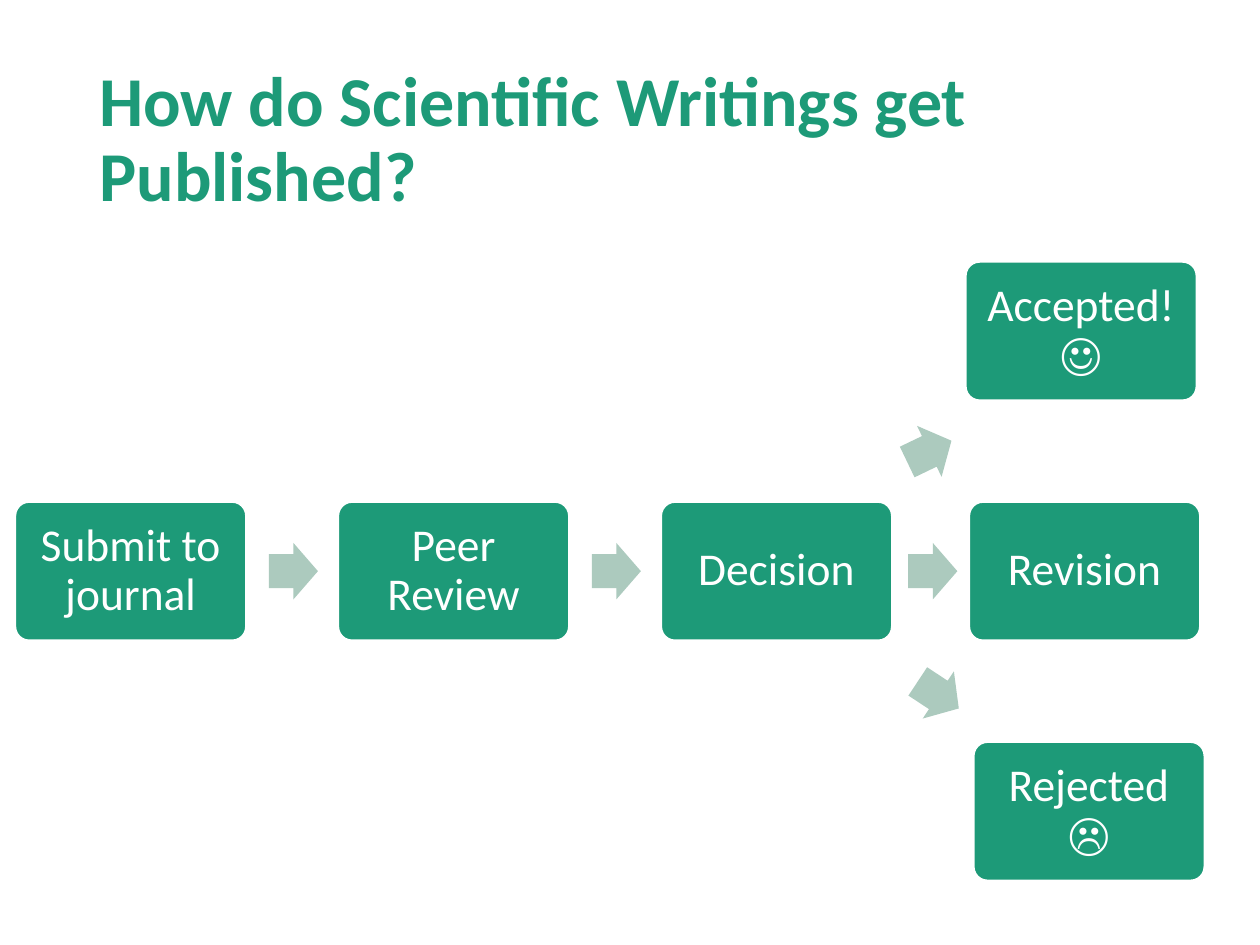
from pptx import Presentation
from pptx.dml.color import RGBColor
from pptx.enum.shapes import MSO_SHAPE as Shape
from pptx.enum.text import MSO_ANCHOR as Anchor, PP_ALIGN as Align
from pptx.util import Cm, Pt

GREEN = "1D9A78"
PALE_GREEN = "ACCABE"
WHITE = "FFFFFF"
FONT = "Calibri"

STEP_LEFT, STEP_TOP, STEP_PITCH = 0.31, 10.12, 6.51
STEP_WIDTH, STEP_HEIGHT = 4.65, 2.79
ARROW_WIDTH, ARROW_HEIGHT = 0.99, 1.14
ARROW_TOP = STEP_TOP + (STEP_HEIGHT - ARROW_HEIGHT) / 2
ARROW_GAP = 0.46

STEPS = ["Submit to journal", "Peer Review", "Decision"]
OUTCOMES = [
    ("Accepted! ☺", 19.47, 5.28),
    ("Revision", 19.54, STEP_TOP),
    ("Rejected ☹", 19.63, 14.96),
]
DECISION_ARROWS = [
    (18.24, 8.53, 334.3),
    (18.31, ARROW_TOP, 0),
    (18.42, 13.44, 33.4),
]


def color(value):
    return RGBColor.from_string(value)


def format_text(paragraph, size, text_color, bold=False):
    paragraph.line_spacing = 0.9
    paragraph.font.name = FONT
    paragraph.font.size = Pt(size)
    paragraph.font.bold = bold
    paragraph.font.color.rgb = color(text_color)


def set_title(slide, text):
    title = slide.shapes.title
    title.left, title.top = Cm(1.75), Cm(1.01)
    title.width, title.height = Cm(21.9), Cm(3.68)
    frame = title.text_frame
    frame.text = text
    frame.word_wrap = True
    frame.vertical_anchor = Anchor.MIDDLE
    heading = frame.paragraphs[0]
    heading.alignment = Align.LEFT
    format_text(heading, 40, GREEN, bold=True)


def add_step(slide, text, left, top):
    step = slide.shapes.add_shape(
        Shape.ROUNDED_RECTANGLE, Cm(left), Cm(top), Cm(STEP_WIDTH), Cm(STEP_HEIGHT))
    step.adjustments[0] = 0.1
    step.shadow.inherit = False
    step.fill.solid()
    step.fill.fore_color.rgb = color(GREEN)
    step.line.color.rgb = color(WHITE)
    step.line.width = Pt(1)
    frame = step.text_frame
    frame.text = text
    frame.word_wrap = True
    frame.vertical_anchor = Anchor.MIDDLE
    frame.margin_left = frame.margin_right = Cm(0.28)
    frame.margin_top = frame.margin_bottom = Cm(0.28)
    label = frame.paragraphs[0]
    label.alignment = Align.CENTER
    format_text(label, 26, WHITE)


def add_arrow(slide, left, top, rotation=0):
    arrow = slide.shapes.add_shape(
        Shape.RIGHT_ARROW, Cm(left), Cm(top), Cm(ARROW_WIDTH), Cm(ARROW_HEIGHT))
    arrow.adjustments[0] = 0.6
    arrow.adjustments[1] = 0.5
    arrow.rotation = rotation
    arrow.shadow.inherit = False
    arrow.fill.solid()
    arrow.fill.fore_color.rgb = color(PALE_GREEN)
    arrow.line.fill.background()


def main():
    presentation = Presentation()
    presentation.slide_width, presentation.slide_height = Cm(25.4), Cm(19.05)
    slide = presentation.slides.add_slide(presentation.slide_layouts[5])
    set_title(slide, "How do Scientific Writings get Published?")

    for index, step in enumerate(STEPS):
        left = STEP_LEFT + index * STEP_PITCH
        add_step(slide, step, left, STEP_TOP)
        if index < len(STEPS) - 1:
            add_arrow(slide, left + STEP_WIDTH + ARROW_GAP, ARROW_TOP)

    for outcome, left, top in OUTCOMES:
        add_step(slide, outcome, left, top)
    for left, top, rotation in DECISION_ARROWS:
        add_arrow(slide, left, top, rotation)

    presentation.save("out.pptx")


if __name__ == "__main__":
    main()
